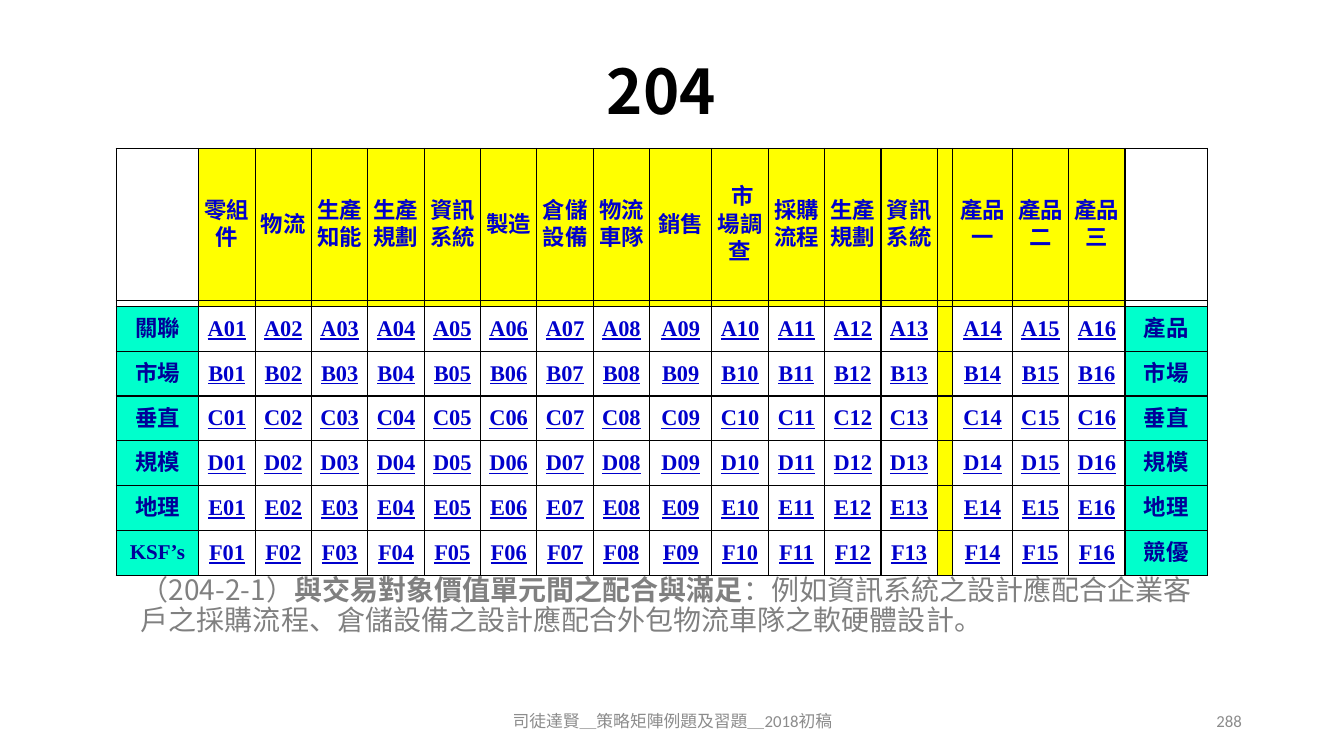
import pptx
import pptx.dml.color
import pptx.enum.text
import pptx.oxml.ns
import pptx.util
from lxml import etree

Cm = pptx.util.Cm
Pt = pptx.util.Pt
PP_ALIGN = pptx.enum.text.PP_ALIGN
MIDDLE = pptx.enum.text.MSO_ANCHOR.MIDDLE
qn = pptx.oxml.ns.qn

COLORS = {
    "black": "000000", "yellow": "FFFF00", "mint": "00FFCC", "link": "0000CC",
    "label": "000099", "body": "808080", "footer": "8C8C8C",
}
SANS, LATIN, SERIF = "Noto Sans CJK SC", "Calibri", "Times New Roman"
TITLE = {"name": SANS, "size": Pt(44), "bold": True, "color": "black"}
HEAD = {"name": LATIN, "size": Pt(16), "bold": True, "color": "link"}
CODE = {**HEAD, "name": SERIF, "underline": True}
LABEL = {**HEAD, "color": "label"}
KSF = {**LABEL, "name": SERIF, "size": Pt(15)}
BODY = {"name": SANS, "size": Pt(20), "bold": False, "color": "body"}
STRONG = {**BODY, "bold": True}
FOOTER = {"name": LATIN, "size": Pt(12), "color": "footer"}

UNITS = ["零組件", "物流", "生產知能", "生產規劃", "資訊系統", "製造", "倉儲設備",
         "物流車隊", "銷售", "市場調查", "採購流程", "生產規劃", "資訊系統"]
PRODUCTS = ["產品一", "產品二", "產品三"]
HEADERS = ["", *UNITS, "", *PRODUCTS, ""]
GAP = len(UNITS) + 1
LAST = len(HEADERS) - 1
ROW_LABELS = [("A", "關聯", "產品"), ("B", "市場", "市場"), ("C", "垂直", "垂直"),
              ("D", "規模", "規模"), ("E", "地理", "地理"), ("F", "KSF’s", "競優")]
WIDTHS = {0: 2.08, 9: 1.57, GAP: 0.39, GAP + 1: 1.5, LAST: 2.08}
HEIGHTS = [3.84, 0.14] + [1.13] * len(ROW_LABELS)


def rgb(key):
    return pptx.dml.color.RGBColor.from_string(COLORS[key])


def add_run(p, text, fmt):
    r = p.add_run()
    r.text = text
    for key, value in fmt.items():
        if key == "color":
            r.font.color.rgb = rgb(value)
        else:
            setattr(r.font, key, value)
    ea = etree.SubElement(r.font._element, qn("a:ea"))
    ea.set("typeface", fmt["name"])


def format_paragraph(p, **values):
    for key, value in values.items():
        setattr(p, key, value)


def add_title(s, text):
    sp = s.shapes.title
    sp.left, sp.top, sp.width, sp.height = Cm(2.33), Cm(1.02), Cm(28.67), Cm(2.72)
    sp.text_frame.vertical_anchor = MIDDLE
    p = sp.text_frame.paragraphs[0]
    format_paragraph(p, alignment=PP_ALIGN.CENTER, line_spacing=0.9)
    add_run(p, text, TITLE)


def add_text(s, box, runs, anchor=None, **paragraph):
    sp = s.shapes.add_textbox(*(Cm(v) for v in box))
    tf = sp.text_frame
    tf.word_wrap = True
    tf.vertical_anchor = anchor
    p = tf.paragraphs[0]
    format_paragraph(p, **paragraph)
    for text, fmt in runs:
        add_run(p, text, fmt)
    return sp


def add_borders(cell):
    tcPr = cell._tc.get_or_add_tcPr()
    for side in ("lnL", "lnR", "lnT", "lnB"):
        ln = etree.SubElement(tcPr, qn("a:" + side), w=str(Pt(1)))
        fill = etree.SubElement(ln, qn("a:solidFill"))
        etree.SubElement(fill, qn("a:srgbClr"), val=COLORS["black"])


def format_cell(cell, text="", fmt=None, fill=None):
    add_borders(cell)
    if fill:
        cell.fill.solid()
        cell.fill.fore_color.rgb = rgb(fill)
    else:
        cell.fill.background()
    cell.vertical_anchor = MIDDLE
    cell.margin_left = cell.margin_right = Cm(0.13)
    cell.margin_top = cell.margin_bottom = 0
    p = cell.text_frame.paragraphs[0]
    p.alignment = PP_ALIGN.CENTER
    if text:
        add_run(p, text, fmt)
    else:
        etree.SubElement(p._p, qn("a:endParaRPr"), sz="100")


def add_header_rows(table):
    for c, text in enumerate(HEADERS):
        fill = None if c in (0, LAST) else "yellow"
        cell = table.cell(0, c)
        format_cell(cell, text, HEAD, fill)
        if text:
            cell._tc.get_or_add_tcPr().set("vert", "eaVert")
        if text == "市場調查":
            p = cell.text_frame.paragraphs[0]
            p._p.get_or_add_pPr().set("indent", str(Cm(0.12)))
        format_cell(table.cell(1, c), fill=fill)


def add_code_row(table, row, letter, left, right):
    codes = [f"{letter}{n:02}" for n in range(1, len(UNITS + PRODUCTS) + 1)]
    codes.insert(GAP - 1, "")
    format_cell(table.cell(row, 0), left, KSF if left.isascii() or "KSF" in left else LABEL, "mint")
    for c, code in enumerate(codes, 1):
        format_cell(table.cell(row, c), code, CODE, None if code else "yellow")
    format_cell(table.cell(row, LAST), right, LABEL, "mint")


def add_matrix(s):
    widths = [WIDTHS.get(c, 1.42) for c in range(len(HEADERS))]
    frame = s.shapes.add_table(len(HEIGHTS), len(widths), Cm(2.93), Cm(3.74),
                               Cm(sum(widths)), Cm(sum(HEIGHTS)))
    table = frame.table
    table.first_row = table.horz_banding = False
    for column, width in zip(table.columns, widths):
        column.width = Cm(width)
    for row, height in zip(table.rows, HEIGHTS):
        row.height = Cm(height)
    add_header_rows(table)
    for row, labels in enumerate(ROW_LABELS, 2):
        add_code_row(table, row, *labels)


def main():
    prs = pptx.Presentation()
    prs.slide_width, prs.slide_height = Cm(33.87), Cm(19.05)
    s = prs.slides.add_slide(prs.slide_layouts[5])
    add_title(s, "204")
    add_matrix(s)
    note = add_text(s, (3.3, 14.4, 27.1, 1.8), [
        ("（204-2-1）", BODY),
        ("與交易對象價值單元間之配合與滿足", STRONG),
        ("：例如資訊系統之設計應配合企業客戶之採購流程、倉儲設備之設計應配合外包物流車隊之軟硬體設計。", BODY),
    ], line_spacing=0.9, space_before=Pt(10))
    note.text_frame.auto_size = pptx.enum.text.MSO_AUTO_SIZE.SHAPE_TO_FIT_TEXT
    add_text(s, (11.23, 17.65, 11.43, 1.02), [("司徒達賢＿策略矩陣例題及習題＿2018初稿", FOOTER)],
             MIDDLE, alignment=PP_ALIGN.CENTER)
    add_text(s, (23.93, 17.65, 7.62, 1.02), [("288", FOOTER)],
             MIDDLE, alignment=PP_ALIGN.RIGHT)
    prs.save("out.pptx")


if __name__ == "__main__":
    main()
